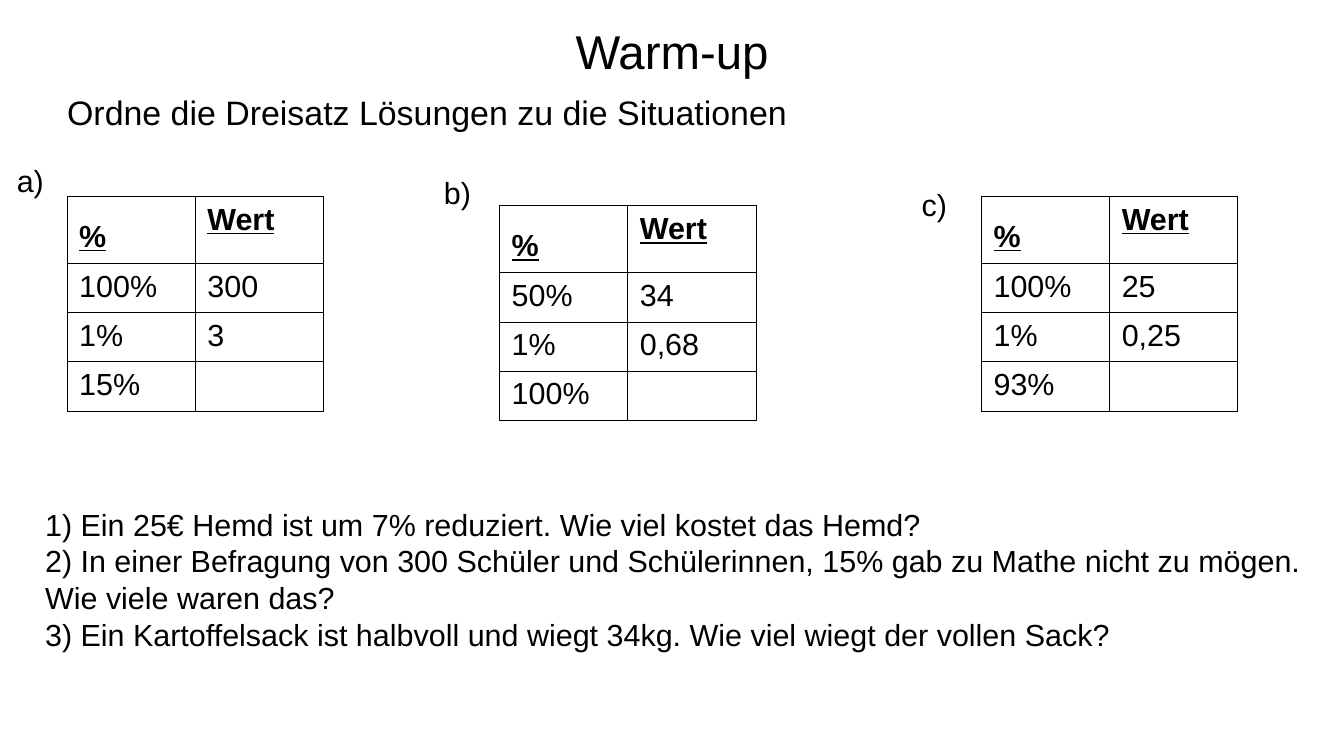
from lxml import etree
from pptx import Presentation, util as u
from pptx.dml.color import RGBColor
from pptx.enum import text
from pptx.oxml import ns

TITLE = "Warm-up"
TASK = "Ordne die Dreisatz Lösungen zu die Situationen"
HEADER = ("%", "Wert")
EXERCISES = [
    {"label": "a)", "label_at": (0.1, 3.25), "table_at": (1.4, 4.09),
     "rows": [("100%", "300"), ("1%", "3"), ("15%", "")]},
    {"label": "b)", "label_at": (9, 3.5), "table_at": (10.41, 4.28),
     "rows": [("50%", "34"), ("1%", "0,68"), ("100%", "")]},
    {"label": "c)", "label_at": (18.95, 3.75), "table_at": (20.45, 4.09),
     "rows": [("100%", "25"), ("1%", "0,25"), ("93%", "")]},
]
QUESTIONS = [
    "1) Ein 25€ Hemd ist um 7% reduziert. Wie viel kostet das Hemd?",
    "2) In einer Befragung von 300 Schüler und Schülerinnen, 15% gab zu Mathe nicht zu mögen. "
    "Wie viele waren das?",
    "3) Ein Kartoffelsack ist halbvoll und wiegt 34kg. Wie viel wiegt der vollen Sack?",
]

THEME = {
    "font": "Arial", "ink": "000000", "paper": "FFFFFF",
    "title": 28, "task": 20, "body": 18, "border": 0.57,
}
SLIDE_SIZE = (28, 15.75)
COLUMN_WIDTH, HEADER_HEIGHT, ROW_HEIGHT = 2.67, 1.32, 0.97
INSETS = {"margin_left": 0.25, "margin_right": 0.25, "margin_top": 0.13, "margin_bottom": 0.13}
NO_INSETS = dict.fromkeys(INSETS, 0)


def apply(target, values):
    for name, value in values.items():
        setattr(target, name, value)


def style_font(font, size, **extra):
    apply(font, {"name": THEME["font"], "size": u.Pt(size), **extra})
    font.color.rgb = RGBColor.from_string(THEME["ink"])


def add_text(slide, box, lines, size, insets=INSETS, alignment=text.PP_ALIGN.LEFT,
             anchor=text.MSO_ANCHOR.TOP):
    frame = slide.shapes.add_textbox(*map(u.Cm, box)).text_frame
    apply(frame, {"word_wrap": True, "vertical_anchor": anchor})
    apply(frame, {name: u.Cm(value) for name, value in insets.items()})
    frame.text = "\n".join(lines)
    for paragraph in frame.paragraphs:
        paragraph.alignment = alignment
        style_font(paragraph.font, size)


def add_borders(cell):
    properties = cell._tc.get_or_add_tcPr()
    for index, side in enumerate(("lnL", "lnR", "lnT", "lnB")):
        line = etree.Element(ns.qn("a:" + side), w=str(u.Pt(THEME["border"])))
        fill = etree.SubElement(line, ns.qn("a:solidFill"))
        etree.SubElement(fill, ns.qn("a:srgbClr"), val=THEME["ink"])
        properties.insert(index, line)


def add_value_table(slide, position, rows):
    heights = [HEADER_HEIGHT] + [ROW_HEIGHT] * len(rows)
    size = (COLUMN_WIDTH * len(HEADER), sum(heights))
    table = slide.shapes.add_table(len(heights), len(HEADER), *map(u.Cm, position + size)).table
    apply(table, {"first_row": False, "horz_banding": False})
    for column in table.columns:
        column.width = u.Cm(COLUMN_WIDTH)
    for row_index, values in enumerate([HEADER] + rows):
        table.rows[row_index].height = u.Cm(heights[row_index])
        is_header = row_index == 0
        for column_index, value in enumerate(values):
            cell = table.cell(row_index, column_index)
            cell.fill.background()
            add_borders(cell)
            apply(cell, {name: u.Cm(inset) for name, inset in INSETS.items()})
            cell.text = value
            paragraph = cell.text_frame.paragraphs[0]
            style_font(paragraph.font, THEME["body"], bold=is_header, underline=is_header)
            if value == HEADER[0]:
                paragraph.line_spacing = 1.5


def main():
    presentation = Presentation()
    presentation.slide_width, presentation.slide_height = map(u.Cm, SLIDE_SIZE)
    slide = presentation.slides.add_slide(presentation.slide_layouts[6])
    slide.background.fill.solid()
    slide.background.fill.fore_color.rgb = RGBColor.from_string(THEME["paper"])

    add_text(slide, (1.4, 0.2, 25.2, 1.7), [TITLE], THEME["title"], NO_INSETS,
             text.PP_ALIGN.CENTER, text.MSO_ANCHOR.MIDDLE)
    add_text(slide, (1.4, 1.9, 22.58, 1.93), [TASK], THEME["task"], NO_INSETS)
    for exercise in EXERCISES:
        add_value_table(slide, exercise["table_at"], exercise["rows"])
        add_text(slide, exercise["label_at"] + (1.1, 0.97), [exercise["label"]], THEME["body"])
    add_text(slide, (0.69, 10.41, 26.87, 3.1), QUESTIONS, THEME["body"])
    presentation.save("out.pptx")


if __name__ == "__main__":
    main()
